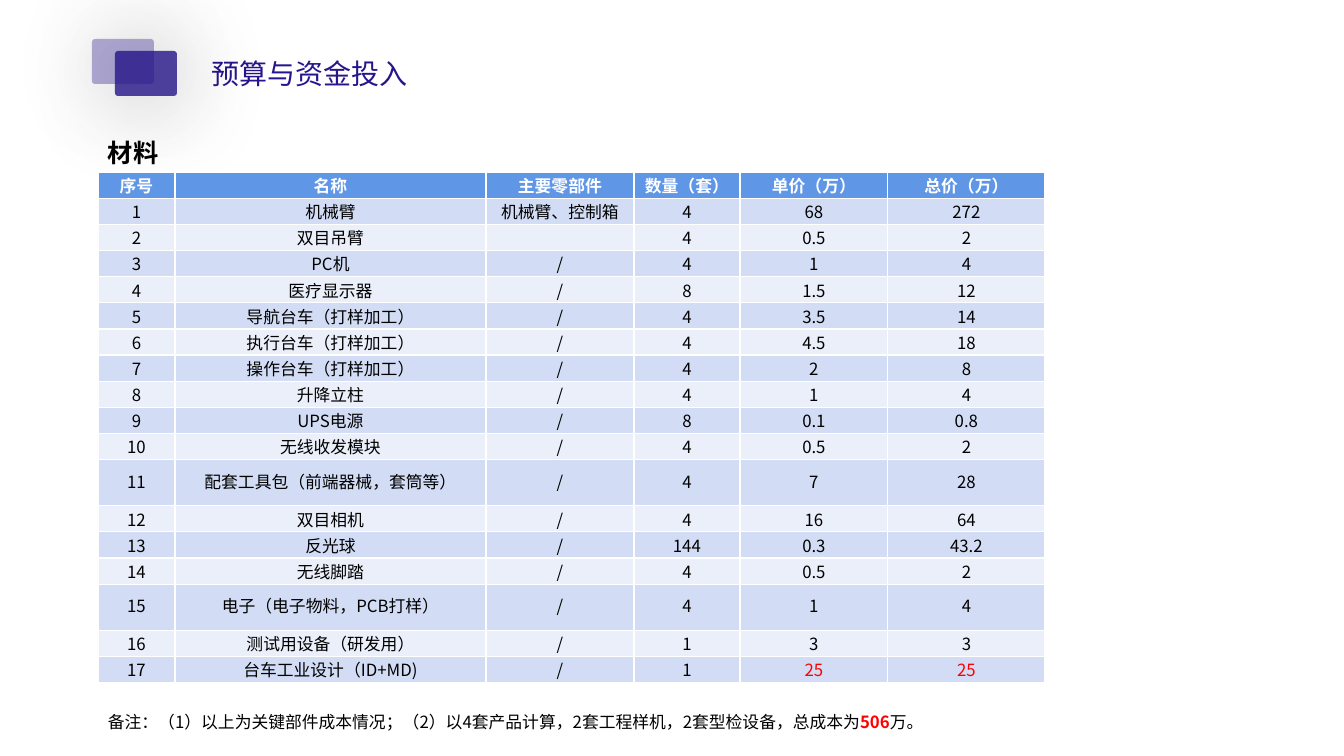
from lxml.etree import SubElement
from pptx import Presentation
from pptx.dml.color import RGBColor
from pptx.enum.shapes import MSO_SHAPE
from pptx.enum.text import MSO_ANCHOR, MSO_AUTO_SIZE, PP_ALIGN
from pptx.oxml import parse_xml
from pptx.oxml.ns import nsdecls, qn
from pptx.util import Emu, Pt

FONT = "Noto Sans CJK SC"
INDIGO, BLACK, WHITE, RED = "26158C", "000000", "FFFFFF", "FF0000"
HEADER_FILL, ODD_FILL, EVEN_FILL = "6096E6", "D2DDF5", "EAEFFA"

COLUMN_WIDTHS = [77, 311, 148, 106, 148, 157]
ROW_HEIGHT, TALL_ROW_HEIGHT = 25, 46
TALL_ROWS = (11, 15)
HEADERS = ["序号", "名称", "主要零部件", "数量（套）", "单价（万）", "总价（万）"]
# Name, main parts, quantity, unit price
MATERIALS = [
    ("机械臂", "机械臂、控制箱", 4, 68),
    ("双目吊臂", "", 4, 0.5),
    ("PC机", "/", 4, 1),
    ("医疗显示器", "/", 8, 1.5),
    ("导航台车（打样加工）", "/", 4, 3.5),
    ("执行台车（打样加工）", "/", 4, 4.5),
    ("操作台车（打样加工）", "/", 4, 2),
    ("升降立柱", "/", 4, 1),
    ("UPS电源", "/", 8, 0.1),
    ("无线收发模块", "/", 4, 0.5),
    ("配套工具包（前端器械，套筒等）", "/", 4, 7),
    ("双目相机", "/", 4, 16),
    ("反光球", "/", 144, 0.3),
    ("无线脚踏", "/", 4, 0.5),
    ("电子（电子物料，PCB打样）", "/", 4, 1),
    ("测试用设备（研发用）", "/", 1, 3),
    ("台车工业设计（ID+MD)", "/", 1, 25),
]


def px(length):
    return Emu(round(length * 914400 / 100.8))


def color(hex_string):
    return RGBColor.from_string(hex_string)


def add_run(paragraph, text, size, hex_color, bold=False):
    run = paragraph.add_run()
    run.text = text
    run.font.size = Pt(size)
    run.font.bold = bold
    run.font.name = FONT
    run.font.color.rgb = color(hex_color)
    SubElement(run.font._element, qn("a:ea")).set("typeface", FONT)


def place(shape, left, top, width, height):
    shape.left, shape.top = px(left), px(top)
    shape.width, shape.height = px(width), px(height)


def add_title(slide, text):
    title = slide.shapes.title
    place(title, 201, 51, 317, 45)
    frame = title.text_frame
    frame.auto_size = MSO_AUTO_SIZE.SHAPE_TO_FIT_TEXT
    frame.vertical_anchor = MSO_ANCHOR.TOP
    paragraph = frame.paragraphs[0]
    paragraph.alignment = PP_ALIGN.JUSTIFY
    add_run(paragraph, text, 20, INDIGO)


def add_text(slide, left, top, width, height, runs):
    box = slide.shapes.add_textbox(px(left), px(top), px(width), px(height))
    frame = box.text_frame
    frame.word_wrap = True
    frame.auto_size = MSO_AUTO_SIZE.SHAPE_TO_FIT_TEXT
    for run in runs:
        add_run(frame.paragraphs[0], *run)


def add_emblem_tile(slide, left, top, opacity):
    tile = slide.shapes.add_shape(
        MSO_SHAPE.ROUNDED_RECTANGLE, px(left), px(top), px(62), px(45))
    tile.adjustments[0] = 0.07
    tile.fill.solid()
    tile.fill.fore_color.rgb = color(INDIGO)
    tile.line.fill.background()
    properties = tile._element.spPr
    fill_color = properties.find(qn("a:solidFill")).find(qn("a:srgbClr"))
    SubElement(fill_color, qn("a:alpha")).set("val", str(opacity * 1000))
    # Wide, soft shadow
    properties.append(parse_xml(
        f'<a:effectLst {nsdecls("a")}>'
        f'<a:outerShdw blurRad="{Pt(70)}" dist="{Pt(3)}" dir="2700000" algn="tl" '
        f'rotWithShape="0"><a:srgbClr val="{BLACK}"><a:alpha val="40000"/>'
        '</a:srgbClr></a:outerShdw></a:effectLst>'))


def fill_cell(cell, text, fill, hex_color, bold):
    cell.fill.solid()
    cell.fill.fore_color.rgb = color(fill)
    cell.vertical_anchor = MSO_ANCHOR.MIDDLE
    cell.margin_left = cell.margin_right = cell.margin_top = px(1)
    cell.margin_bottom = px(5)
    paragraph = cell.text_frame.paragraphs[0]
    paragraph.alignment = PP_ALIGN.CENTER
    if text:
        add_run(paragraph, text, 12, hex_color, bold)
    else:
        paragraph.font.size = Pt(12)


def add_budget_table(slide, left, top):
    rows = [HEADERS]
    for number, (name, parts, quantity, price) in enumerate(MATERIALS, 1):
        rows.append([str(number), name, parts, str(quantity),
                     f"{price:g}", f"{quantity * price:g}"])
    heights = [TALL_ROW_HEIGHT if index in TALL_ROWS else ROW_HEIGHT
               for index in range(len(rows))]
    table = slide.shapes.add_table(
        len(rows), len(HEADERS), px(left), px(top),
        px(sum(COLUMN_WIDTHS)), px(sum(heights))).table
    for column, width in zip(table.columns, COLUMN_WIDTHS):
        column.width = px(width)
    for row_index, values in enumerate(rows):
        table.rows[row_index].height = px(heights[row_index])
        is_header = row_index == 0
        fill = HEADER_FILL if is_header else (EVEN_FILL, ODD_FILL)[row_index % 2]
        for column_index, text in enumerate(values):
            # The prices of the last item stand out
            is_marked = row_index == len(MATERIALS) and column_index >= 4
            text_color = WHITE if is_header else RED if is_marked else BLACK
            fill_cell(table.cell(row_index, column_index), text, fill,
                      text_color, is_header)


def main():
    presentation = Presentation()
    presentation.slide_width, presentation.slide_height = px(1344), px(756)
    slide = presentation.slides.add_slide(presentation.slide_layouts[5])

    # Heading with emblem
    add_emblem_tile(slide, 115, 51, 80)
    add_title(slide, "预算与资金投入")
    add_emblem_tile(slide, 92, 39, 35)

    # Materials budget
    add_text(slide, 98, 132, 168, 40, [("材料", 18, BLACK, True)])
    add_budget_table(slide, 98, 172)

    # Remark
    add_text(slide, 98, 707, 917, 30, [
        ("备注：（1）以上为关键部件成本情况；（2）以4套产品计算，2套工程样机，"
         "2套型检设备，总成本为", 12, BLACK),
        ("506", 12, RED, True),
        ("万。", 12, BLACK),
    ])

    presentation.save("out.pptx")


if __name__ == "__main__":
    main()
